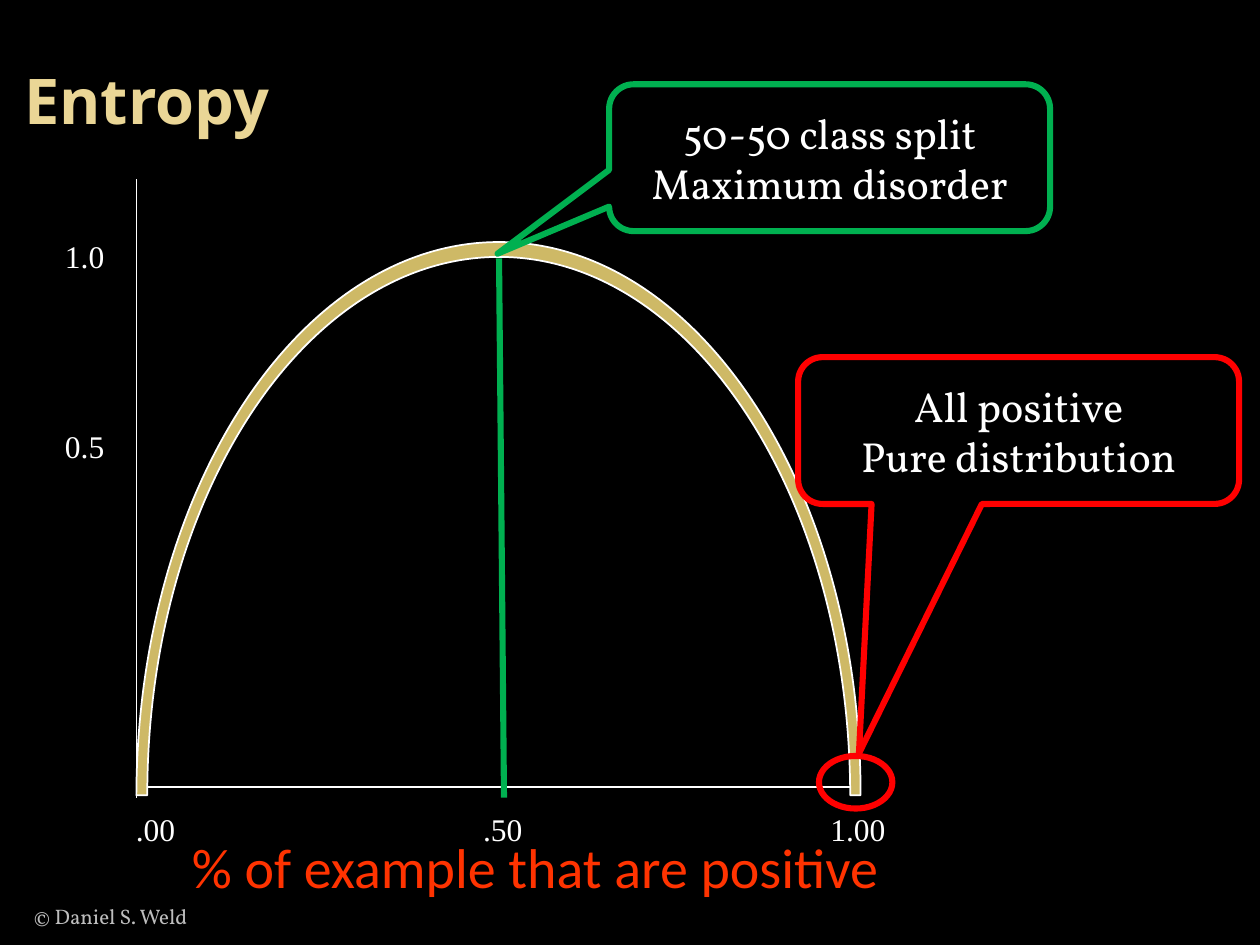
"""Build the entropy curve slide."""
from lxml import etree
from pptx import Presentation
from pptx import util as u
from pptx.dml.color import RGBColor
from pptx.enum import shapes, text
from pptx.oxml import ns

BLACK = RGBColor(0x00, 0x00, 0x00)
WHITE = RGBColor(0xFF, 0xFF, 0xFF)
GREY = RGBColor(0xBD, 0xBD, 0xBD)
CREAM = RGBColor(0xEA, 0xD6, 0x96)
GOLD = RGBColor(0xCE, 0xB9, 0x66)
GREEN = RGBColor(0x00, 0xB0, 0x50)
RED = RGBColor(0xFF, 0x00, 0x00)
ORANGE = RGBColor(0xFF, 0x33, 0x00)

TITLE = "Entropy"
CAPTION = "% of example that are positive"
CREDIT = "© Daniel S. Weld"
X_LABELS = [".00", ".50", "1.00"]
Y_LABELS = ["1.0", "0.5"]
X_LABEL_STEP = 7
Y_LABEL_GAP = 87
AXES = [((2.75, 3.61), (2.75, 16.08)), ((17.15, 15.87), (2.97, 15.87))]
MIDLINE = ((10.06, 5.21), (10.16, 16.08))
CURVE_START = (2.97, 16.03)
CURVE_SEGMENTS = [
    [(2.97, 10.03), (6.15, 5.18), (10.06, 5.18)],
    [(13.95, 5.18), (17.13, 10.03), (17.14, 16.03)],
    [(17.35, 16.03)],
    [(17.35, 9.86), (14.07, 4.88), (10.06, 4.88)],
    [(6.05, 4.88), (2.77, 9.86), (2.75, 16.03)],
]
CURVE_HEIGHT = 22.43
PURE_POINT = (16.51, 15.24, 1.48, 1.06)
CALLOUT_SIZE = (8.89, 2.96)
CALLOUTS = [
    (["50-50 class split", "Maximum disorder"], (12.28, 1.7), (-0.753, 0.654), GREEN),
    (["All positive", "Pure distribution"], (16.09, 7.2), (-0.362, 2.199), RED),
]


def write(shape, lines, font_name, size, color, align=text.PP_ALIGN.LEFT,
          anchor=text.MSO_ANCHOR.TOP, bold=False):
    frame = shape.text_frame
    frame.text = "\n".join(lines)
    frame.word_wrap = True
    frame.auto_size = text.MSO_AUTO_SIZE.NONE
    frame.vertical_anchor = anchor
    for paragraph in frame.paragraphs:
        paragraph.alignment = align
        paragraph.font.name = font_name
        paragraph.font.size = u.Pt(size)
        paragraph.font.bold = bold
        paragraph.font.color.rgb = color


def add_text(slide, box, lines, *style, **options):
    textbox = slide.shapes.add_textbox(*map(u.Cm, box))
    write(textbox, lines, *style, **options)
    return textbox.text_frame.paragraphs


def add_tab_stops(paragraph, step, count):
    tab_list = etree.Element(ns.qn("a:tabLst"))
    for index in range(1, count + 1):
        etree.SubElement(tab_list, ns.qn("a:tab"), pos=str(u.Cm(index * step)), algn="l")
    paragraph._p.get_or_add_pPr().insert(0, tab_list)


def add_line(slide, start, end, color, width):
    line = slide.shapes.add_connector(
        shapes.MSO_CONNECTOR.STRAIGHT, *map(u.Cm, start + end))
    line.line.color.rgb = color
    line.line.width = u.Pt(width)
    etree.SubElement(line._element.spPr, ns.qn("a:effectLst"))


def add_outline(slide, kind, box, color):
    shape = slide.shapes.add_shape(kind, *map(u.Cm, box))
    shape.shadow.inherit = False
    shape.fill.background()
    shape.line.color.rgb = color
    shape.line.width = u.Pt(3.5)
    return shape


def add_curve(slide):
    builder = slide.shapes.build_freeform(*map(u.Cm, CURVE_START))
    builder.add_line_segments(
        [tuple(map(u.Cm, point)) for segment in CURVE_SEGMENTS for point in segment],
        close=True)
    curve = builder.convert_to_shape()
    outline = next(curve._element.iter(ns.qn("a:path")))
    steps = iter(outline.findall(ns.qn("a:lnTo")))
    for segment in CURVE_SEGMENTS:
        first, *others = [next(steps) for point in segment]
        if others:
            first.tag = ns.qn("a:cubicBezTo")
            for step in others:
                first.append(step[0])
                outline.remove(step)
    curve.height = u.Cm(CURVE_HEIGHT)
    outline.set("h", str(curve.height))
    curve.shadow.inherit = False
    curve.fill.solid()
    curve.fill.fore_color.rgb = GOLD
    curve.line.color.rgb = WHITE
    curve.line.width = u.Pt(1)


def main():
    center, middle = text.PP_ALIGN.CENTER, text.MSO_ANCHOR.MIDDLE
    presentation = Presentation()
    presentation.slide_width, presentation.slide_height = u.Cm(25.4), u.Cm(19.05)
    slide = presentation.slides.add_slide(presentation.slide_layouts[5])
    slide.background.fill.solid()
    slide.background.fill.fore_color.rgb = BLACK

    add_text(slide, (0.43, 17.83, 5.92, 1.02), [CREDIT], "Vollkorn", 12, GREY,
             anchor=text.MSO_ANCHOR.BOTTOM)
    title = slide.shapes.title
    title.left, title.top, title.width, title.height = map(
        u.Cm, (-0.64, 0.64, 7.19, 2.74))
    write(title, [TITLE], "Noto Sans", 36, CREAM, center, middle, bold=True)

    for start, end in AXES:
        add_line(slide, start, end, WHITE, 1)
    x_labels = add_text(slide, (2.49, 16.21, 15.75, 1.02), ["\t".join(X_LABELS)],
                        "Times New Roman", 18, WHITE)
    add_tab_stops(x_labels[0], X_LABEL_STEP, len(X_LABELS) - 1)
    y_labels = add_text(slide, (1.06, 4.66, 1.58, 6.35), Y_LABELS,
                        "Times New Roman", 18, WHITE)
    y_labels[1].space_before = u.Pt(Y_LABEL_GAP)

    add_curve(slide)
    add_text(slide, (1.27, 16.09, 19.05, 2.74), [CAPTION], "Calibri", 32, ORANGE,
             align=center, anchor=middle)
    add_line(slide, *MIDLINE, GREEN, 3.5)
    add_outline(slide, shapes.MSO_SHAPE.OVAL, PURE_POINT, RED)
    for lines, corner, pointer, color in CALLOUTS:
        callout = add_outline(slide, shapes.MSO_SHAPE.ROUNDED_RECTANGULAR_CALLOUT,
                              corner + CALLOUT_SIZE, color)
        callout.adjustments[0], callout.adjustments[1] = pointer
        write(callout, lines, "Vollkorn", 24, WHITE, center, middle)

    presentation.save("out.pptx")


if __name__ == "__main__":
    main()
